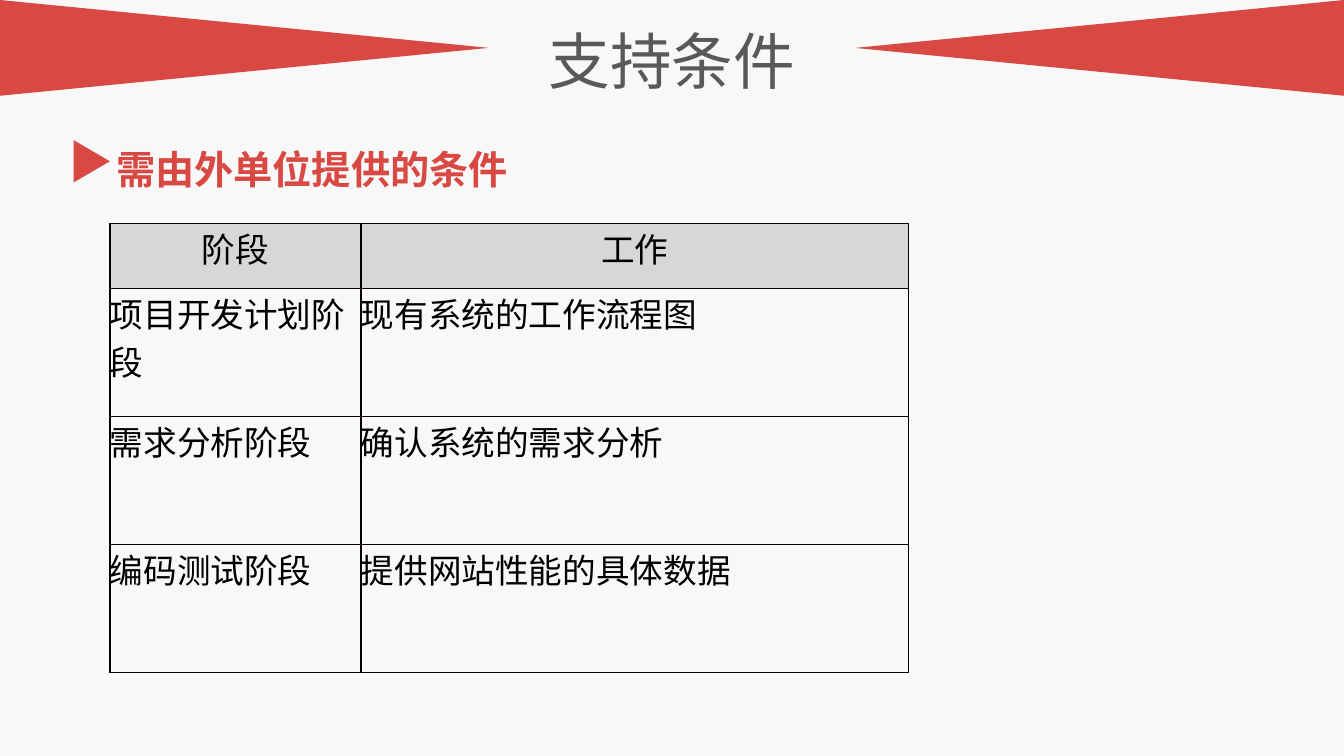
import pptx
import pptx.util
import pptx.dml.color
import pptx.enum.shapes
import pptx.enum.text
import pptx.oxml.ns
from lxml import etree

Inches = pptx.util.Inches
ALIGN = pptx.enum.text.PP_ALIGN
RED = "D84943"


def colour(hex_text):
    return pptx.dml.color.RGBColor.from_string(hex_text)


def add_element(parent, tag, **attributes):
    return etree.SubElement(parent, pptx.oxml.ns.qn(tag), attributes)


class SlideBuilder:
    font_name = "Noto Sans CJK SC"

    def __init__(self, slide, background):
        self.slide = slide
        slide.background.fill.solid()
        slide.background.fill.fore_color.rgb = colour(background)

    def fill_text(self, frame, text, size, text_colour, bold=False,
                  align=ALIGN.CENTER, spacing=None):
        paragraph = frame.paragraphs[0]
        for name, value in {"alignment": align, "line_spacing": spacing}.items():
            setattr(paragraph, name, value)
        run = paragraph.add_run()
        run.text = text
        run.font.color.rgb = colour(text_colour)
        formats = {"size": pptx.util.Pt(size), "bold": bold, "name": self.font_name}
        for name, value in formats.items():
            setattr(run.font, name, value)
        add_element(run._r.get_or_add_rPr(), "a:ea", typeface=self.font_name)

    def text(self, box, text, size, text_colour, **style):
        frame = self.slide.shapes.add_textbox(*map(Inches, box)).text_frame
        frame.word_wrap = True
        frame.auto_size = pptx.enum.text.MSO_AUTO_SIZE.SHAPE_TO_FIT_TEXT
        self.fill_text(frame, text, size, text_colour, **style)

    def triangle(self, box, rotation):
        triangle = self.slide.shapes.add_shape(
            pptx.enum.shapes.MSO_SHAPE.ISOSCELES_TRIANGLE, *map(Inches, box))
        triangle.rotation = rotation
        triangle.shadow.inherit = False
        triangle.fill.solid()
        triangle.fill.fore_color.rgb = colour(RED)
        triangle.line.fill.background()

    def border(self, cell, side, line_colour, points):
        line = add_element(cell._tc.get_or_add_tcPr(), "a:ln" + side,
                           w=str(pptx.util.Pt(points)))
        add_element(add_element(line, "a:solidFill"), "a:srgbClr", val=line_colour)

    def table(self, left, top, widths, heights, rows):
        table = self.slide.shapes.add_table(
            len(rows), len(widths), Inches(left), Inches(top),
            Inches(sum(widths)), Inches(sum(heights))).table
        table.first_row = table.horz_banding = False
        for column, width in zip(table.columns, widths):
            column.width = Inches(width)
        for row, height in zip(table.rows, heights):
            row.height = Inches(height)
        for r, row in enumerate(rows):
            for c, text in enumerate(row):
                self.cell(table.cell(r, c), text, r == 0, c == len(row) - 1)

    def cell(self, cell, text, is_header, is_last):
        for side in ("left", "right", "top", "bottom"):
            setattr(cell, "margin_" + side, 0)
        for side in "LRTB":
            outer_right = is_last and side == "R"
            self.border(cell, side, *(("000000", 0.75) if outer_right else ("080000", 1)))
        if is_header:
            cell.fill.solid()
            cell.fill.fore_color.rgb = colour("D7D7D7")
        else:
            cell.fill.background()
        self.fill_text(cell.text_frame, text, 24, "000000",
                       align=ALIGN.CENTER if is_header else ALIGN.LEFT)


def main():
    deck = pptx.Presentation()
    deck.slide_width, deck.slide_height = Inches(13.33), Inches(7.5)
    builder = SlideBuilder(deck.slides.add_slide(deck.slide_layouts[6]), "F8F8F8")

    # Section heading with its marker
    builder.text((0.88, 1.25, 4.43, 0.71), "需由外单位提供的条件", 28, RED,
                 bold=True, spacing=1.3)
    builder.triangle((0.7, 1.42, 0.42, 0.36), 90)

    # Banner wedges pointing at the title
    for left, rotation in ((1.95, 90), (10.43, 270)):
        builder.triangle((left, -1.95, 0.95, 4.85), rotation)

    # Title
    builder.text((4.73, 0.18, 3.87, 0.84), "支持条件", 44, "595959")

    # Conditions for each stage
    builder.table(1.09, 2.22, (2.49, 5.43), (0.64, 1.27, 1.27, 1.27), (
        ("阶段", "工作"),
        ("项目开发计划阶段", "现有系统的工作流程图"),
        ("需求分析阶段", "确认系统的需求分析"),
        ("编码测试阶段", "提供网站性能的具体数据"),
    ))

    deck.save("out.pptx")


if __name__ == "__main__":
    main()
